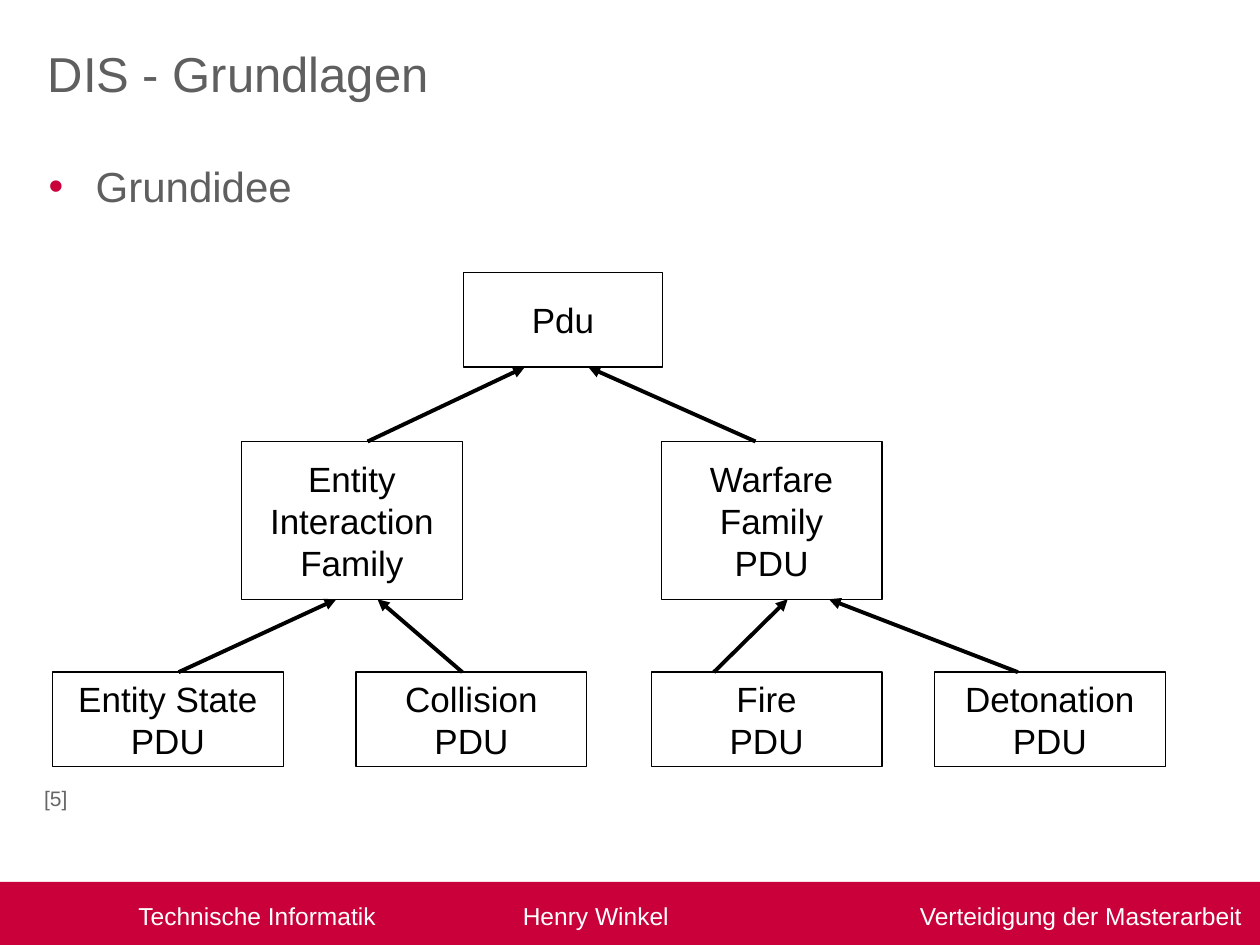
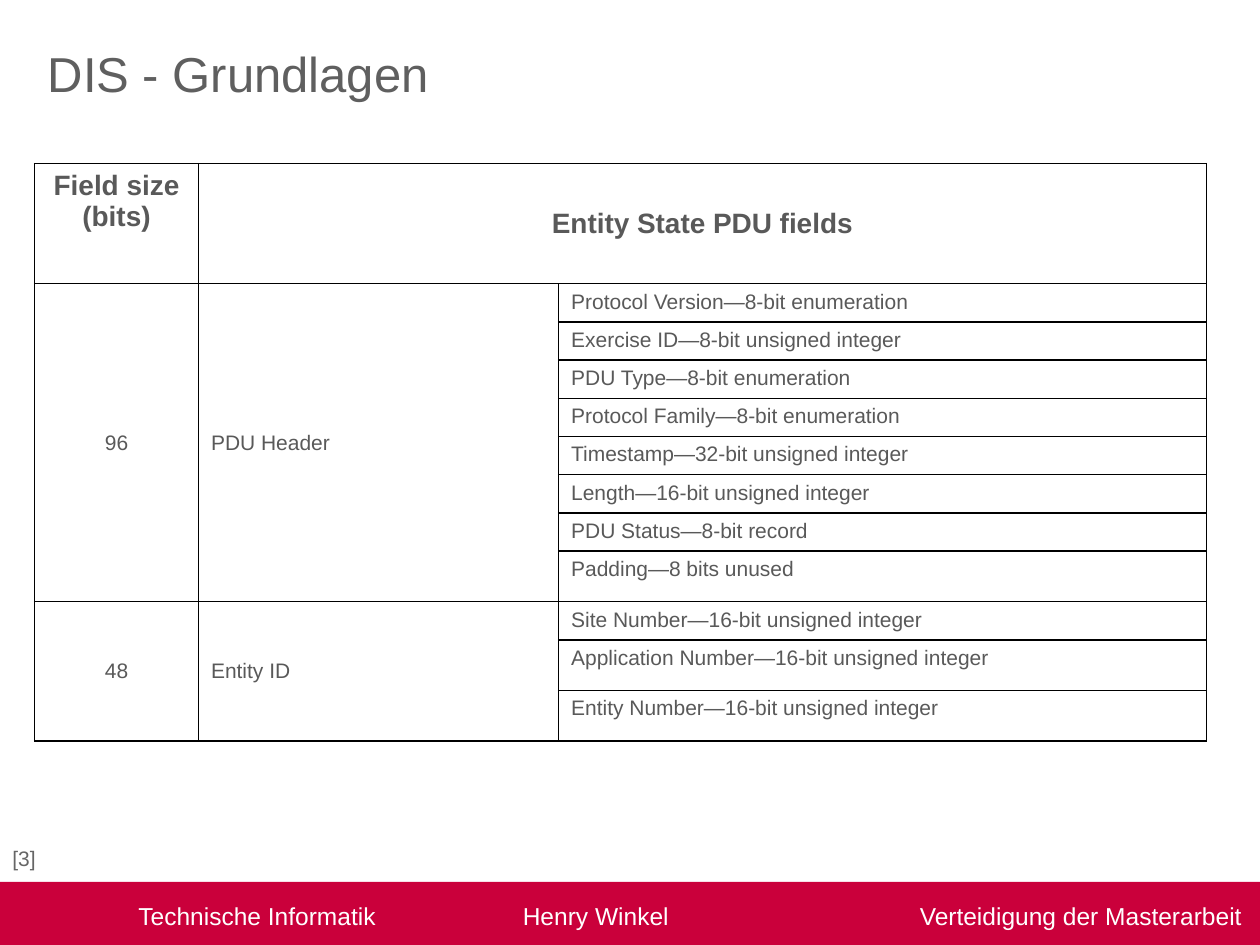
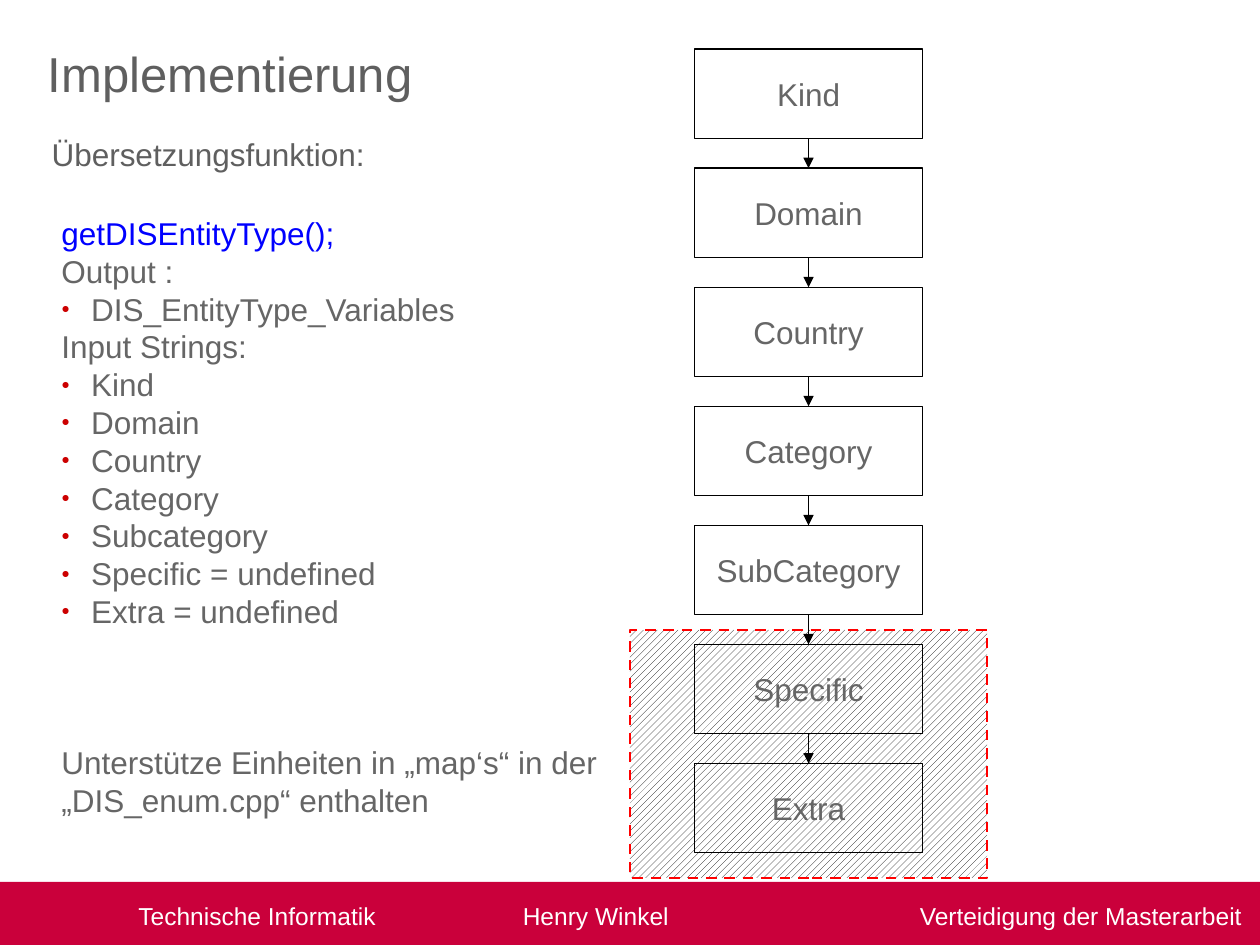
from itertools import pairwise

from lxml.etree import SubElement
from pptx import Presentation
from pptx.dml.color import RGBColor
from pptx.enum.dml import MSO_LINE, MSO_PATTERN
from pptx.enum.shapes import MSO_CONNECTOR, MSO_SHAPE
from pptx.enum.text import MSO_ANCHOR, MSO_AUTO_SIZE, PP_ALIGN
from pptx.oxml.ns import qn
from pptx.util import Cm, Pt

FONT = "Arial"
RED, GREY, BODY, CELL = "CA003B", "5F5F5F", "666666", "595959"
BLACK, WHITE, BLUE = "000000", "FFFFFF", "0000FF"
BULLET_RED, DASH_RED = "CC0000", "FF0000"
TITLE_BOX = (0.71, 0.74, 20, 2)
BAND_BOX = (0, 17.78, 25.4, 1.37)
BAND_TEXT = "\tTechnische Informatik\tHenry Winkel\tVerteidigung der Masterarbeit"
BAND_TABS = ((2.54, "l"), (10.29, "l"), (24.79, "r"))

LEVELS = (
    (0, 4.02, 1.9, ((8.28, "Pdu"),)),
    (3.4, 4.45, 3.18, ((3.81, "Entity\nInteraction\nFamily"),
                       (12.27, "Warfare\nFamily\nPDU"))),
    (8.05, 4.65, 1.9, ((0, "Entity State\nPDU"), (6.12, "Collision\nPDU"),
                       (12.07, "Fire\nPDU"), (17.78, "Detonation\nPDU"))),
)
INHERITANCE = (
    ((6.35, 9.52), (14.17, 10.8)),
    ((2.54, 5.72), (8.26, 6.55), (13.33, 14.82), (19.46, 15.65)),
)

COLUMNS = (3.3, 7.26, 13.06)
HEADER_HEIGHT, ROW_HEIGHT, TALL_ROW = 2.42, 0.77, 1.02
TALL_FIELDS = ("Padding", "Application", "Entity")
RECORDS = (
    ("96", "PDU Header", (
        "Protocol Version—8-bit enumeration",
        "Exercise ID—8-bit unsigned integer",
        "PDU Type—8-bit enumeration",
        "Protocol Family—8-bit enumeration",
        "Timestamp—32-bit unsigned integer",
        "Length—16-bit unsigned integer",
        "PDU Status—8-bit record",
        "Padding—8 bits unused")),
    ("48", "Entity ID", (
        "Site Number—16-bit unsigned integer",
        "Application Number—16-bit unsigned integer",
        "Entity Number—16-bit unsigned integer")),
)

STEPS = ("Kind", "Domain", "Country", "Category", "SubCategory", "Specific", "Extra")
PARAMETERS = ("DIS_EntityType_Variables", "Kind", "Domain", "Country", "Category",
              "Subcategory", "Specific = undefined", "Extra = undefined")
CLOSING = "Unterstütze Einheiten in „map‘s“ in der „DIS_enum.cpp“ enthalten"
FUNCTION_TEXT = ("getDISEntityType();", "Output :", PARAMETERS[0], "Input Strings:",
                 *PARAMETERS[1:], CLOSING)


def rgb(value):
    return RGBColor.from_string(value)


def cm(*lengths):
    return [Cm(length) for length in lengths]


def style(paragraph, size, color, align=PP_ALIGN.LEFT, bold=False):
    paragraph.alignment = align
    for run in paragraph.runs:
        run.font.name, run.font.size, run.font.bold = FONT, Pt(size), bold
        run.font.color.rgb = rgb(color)


def write(frame, text, size, color, align=PP_ALIGN.LEFT, bold=False):
    frame.text = text
    for paragraph in frame.paragraphs:
        style(paragraph, size, color, align, bold)


def add_bullet(paragraph, char, color, left, hanging, percent=100):
    props = paragraph._p.get_or_add_pPr()
    props.set("marL", str(Cm(left)))
    props.set("indent", str(-Cm(hanging)))
    tint = SubElement(props, qn("a:buClr"))
    SubElement(tint, qn("a:srgbClr"), val=color)
    SubElement(props, qn("a:buSzPct"), val=str(percent * 1000))
    SubElement(props, qn("a:buFont"), typeface=FONT)
    SubElement(props, qn("a:buChar"), char=char)


def add_label(slide, box, text, size, color, wrap=True):
    label = slide.shapes.add_textbox(*cm(*box))
    label.text_frame.word_wrap = wrap
    write(label.text_frame, text, size, color)
    return label.text_frame


def add_node(slide, box, text, size, color):
    node = slide.shapes.add_shape(MSO_SHAPE.RECTANGLE, *cm(*box))
    node.shadow.inherit = False
    node.fill.background()
    node.line.color.rgb = rgb(BLACK)
    node.line.width = Pt(0.75)
    frame = node.text_frame
    frame.word_wrap = False
    frame.vertical_anchor = MSO_ANCHOR.MIDDLE
    write(frame, text, size, color, PP_ALIGN.CENTER)
    for paragraph in frame.paragraphs:
        paragraph.line_spacing = Pt(1.2 * size)
    return node


def add_arrow(slide, ends, width):
    arrow = slide.shapes.add_connector(MSO_CONNECTOR.STRAIGHT, *cm(*ends))
    arrow.line.color.rgb = rgb(BLACK)
    arrow.line.width = Pt(width)
    SubElement(arrow.line._get_or_add_ln(), qn("a:tailEnd"), type="triangle")
    SubElement(arrow._element.spPr, qn("a:effectLst"))
    return arrow


def add_band(slide, box):
    band = slide.shapes.add_shape(MSO_SHAPE.RECTANGLE, *cm(*box))
    band.shadow.inherit = False
    band.fill.solid()
    band.fill.fore_color.rgb = rgb(RED)
    band.line.fill.background()
    band.text_frame.vertical_anchor = MSO_ANCHOR.MIDDLE
    write(band.text_frame, BAND_TEXT, 14, WHITE)
    props = band.text_frame.paragraphs[0]._p.get_or_add_pPr()
    stops = SubElement(props, qn("a:tabLst"))
    for position, side in BAND_TABS:
        SubElement(stops, qn("a:tab"), pos=str(Cm(position)), algn=side)


def new_slide(deck, heading):
    slide = deck.slides.add_slide(deck.slide_layouts[5])
    add_band(slide, BAND_BOX)
    title = slide.shapes.title
    title.left, title.top, title.width, title.height = cm(*TITLE_BOX)
    frame = title.text_frame
    frame.auto_size = MSO_AUTO_SIZE.NONE
    frame.vertical_anchor = MSO_ANCHOR.TOP
    write(frame, heading, 28, GREY)
    return slide


def add_hierarchy(slide, left, top):
    for offset, width, height, members in LEVELS:
        for x, text in members:
            add_node(slide, (left + x, top + offset, width, height), text, 20, BLACK)
    for (parent, child), arrows in zip(pairwise(LEVELS), INHERITANCE):
        parent_bottom = top + parent[0] + parent[2]
        for start, end in arrows:
            add_arrow(slide, (left + start, top + child[0], left + end, parent_bottom), 2.25)


def add_borders(cell):
    props = cell._tc.get_or_add_tcPr()
    for position, side in enumerate(("a:lnL", "a:lnR", "a:lnT", "a:lnB")):
        border = SubElement(props, qn(side), w=str(Pt(0.96)))
        fill = SubElement(border, qn("a:solidFill"))
        SubElement(fill, qn("a:srgbClr"), val=BLACK)
        props.insert(position, border)


def add_fields(slide, left, top):
    fields = [field for record in RECORDS for field in record[2]]
    heights = [HEADER_HEIGHT] + [
        TALL_ROW if field.startswith(TALL_FIELDS) else ROW_HEIGHT for field in fields]
    table = slide.shapes.add_table(
        len(heights), len(COLUMNS), *cm(left, top, sum(COLUMNS), sum(heights))).table
    for column, width in zip(table.columns, COLUMNS):
        column.width = Cm(width)
    for row, height in zip(table.rows, heights):
        row.height = Cm(height)
    for cell in table.iter_cells():
        cell.fill.solid()
        cell.fill.fore_color.rgb = rgb(WHITE)
        add_borders(cell)

    def fill_cell(row, column, text, size=12, align=PP_ALIGN.LEFT, middle=False, bold=False):
        cell = table.cell(row, column)
        cell.vertical_anchor = MSO_ANCHOR.MIDDLE if middle else MSO_ANCHOR.TOP
        write(cell.text_frame, text, size, CELL, align, bold)

    table.cell(0, 1).merge(table.cell(0, 2))
    fill_cell(0, 0, "Field size (bits)", 16, PP_ALIGN.CENTER, bold=True)
    fill_cell(0, 1, "Entity State PDU fields", 16, PP_ALIGN.CENTER, True, True)
    first = 1
    for bits, record, members in RECORDS:
        last = first + len(members) - 1
        for column in (0, 1):
            table.cell(first, column).merge(table.cell(last, column))
        fill_cell(first, 0, bits, align=PP_ALIGN.CENTER, middle=True)
        fill_cell(first, 1, record, middle=True)
        for row, field in enumerate(members, first):
            fill_cell(row, 2, field)
        first = last + 1


def add_function(slide, box):
    frame = add_label(slide, box, "\n".join(FUNCTION_TEXT), 18, BODY)
    for paragraph in frame.paragraphs:
        paragraph.line_spacing = Pt(21.6)
        if paragraph.text in PARAMETERS:
            add_bullet(paragraph, "●", BULLET_RED, 0.6, 0.6, 45)
    style(frame.paragraphs[0], 18, BLUE)
    frame.paragraphs[-1].space_before = Pt(3 * 21.6)


def add_chain(slide, left, top):
    width, height, pitch = 4.6, 1.8, 2.4
    undefined = slide.shapes.add_shape(
        MSO_SHAPE.RECTANGLE, *cm(left - 1.3, top + 11.71, 7.2, 5))
    undefined.shadow.inherit = False
    undefined.fill.patterned()
    undefined.fill.pattern = MSO_PATTERN.WIDE_UPWARD_DIAGONAL
    undefined.fill.fore_color.rgb = rgb(BLACK)
    undefined.fill.back_color.rgb = rgb(WHITE)
    undefined.line.color.rgb = rgb(DASH_RED)
    undefined.line.width = Pt(1.5)
    undefined.line.dash_style = MSO_LINE.DASH
    nodes = [add_node(slide, (left, top + i * pitch, width, height), step, 18, BODY)
             for i, step in enumerate(STEPS)]
    for upper, lower in pairwise(nodes):
        arrow = add_arrow(slide, (0, 0, 0, 0), 0.75)
        arrow.begin_connect(upper, 2)
        arrow.end_connect(lower, 0)


def build_idea(deck):
    slide = new_slide(deck, "DIS - Grundlagen")
    idea = add_label(slide, (0.71, 3.12, 24, 14.4), "Grundidee", 24, GREY)
    add_bullet(idea.paragraphs[0], "•", RED, 0.97, 0.95)
    add_hierarchy(slide, 1.06, 5.5)
    add_label(slide, (0.64, 15.72, 0.97, 0.76), "[5]", 12, BODY, wrap=False)


def build_fields(deck):
    slide = new_slide(deck, "DIS - Grundlagen")
    add_label(slide, (0, 16.92, 0.97, 0.76), "[3]", 12, BODY, wrap=False)
    add_fields(slide, 0.7, 3.3)


def build_implementation(deck):
    slide = new_slide(deck, "Implementierung")
    add_label(slide, (0.79, 2.59, 9, 1.07), "Übersetzungsfunktion:", 18, GREY)
    add_function(slide, (0.99, 4.19, 12.2, 8.79))
    add_chain(slide, 14, 0.99)


def main():
    deck = Presentation()
    deck.slide_width, deck.slide_height = cm(25.4, 19.05)
    build_idea(deck)
    build_fields(deck)
    build_implementation(deck)
    deck.save("out.pptx")


if __name__ == "__main__":
    main()
